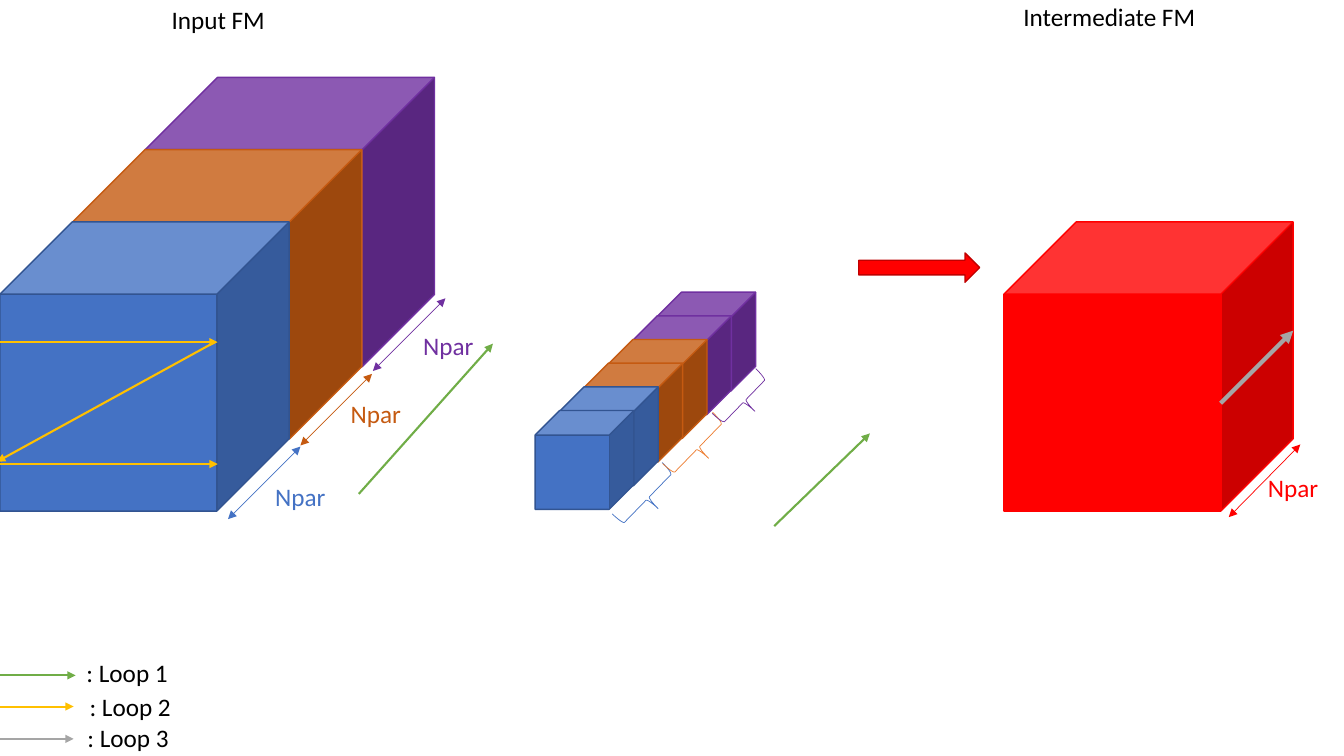
from dataclasses import dataclass

from lxml import etree
from pptx import Presentation
from pptx import util as u
from pptx.dml.color import RGBColor
from pptx.enum import shapes, text
from pptx.oxml.ns import qn


@dataclass(frozen=True)
class Theme:
    """Colours, font and type size of the slide."""
    blue: str = "4472C4"
    navy: str = "325491"
    rust: str = "C55A11"
    orange: str = "ED7D31"
    purple: str = "7030A0"
    red: str = "FF0000"
    brick: str = "C00000"
    green: str = "70AD47"
    gold: str = "FFC000"
    grey: str = "A5A5A5"
    black: str = "000000"
    font: str = "Calibri"
    size: float = 18


def put(target, **values):
    """Set each given attribute on the target."""
    for name, value in values.items():
        setattr(target, name, value)


def rgb(code):
    """Turn a hex code into a colour."""
    return RGBColor.from_string(code)


class Sketch:
    """Draws styled elements on one slide, measured in points."""

    def __init__(self, slide, theme):
        """Keep the slide and its theme."""
        self.slide = slide
        self.theme = theme

    def stroke(self, item, color, width):
        """Colour the outline of an item."""
        item.line.color.rgb = rgb(color)
        item.line.width = u.Pt(width)

    def shape(self, kind, box, fill, edge, width=1, turn=0):
        """Add a preset shape, unfilled when fill is None."""
        item = self.slide.shapes.add_shape(kind, *map(u.Pt, box))
        put(item, rotation=turn)
        item.shadow.inherit = False
        if fill:
            item.fill.solid()
            item.fill.fore_color.rgb = rgb(fill)
        else:
            item.fill.background()
        self.stroke(item, edge, width)

    def cube(self, left, top, side, fill, edge=None):
        """Add a cube of equal width and height."""
        self.shape(shapes.MSO_SHAPE.CUBE, (left, top, side, side), fill, edge or fill)

    def brace(self, left, top, high, color):
        """Add a brace turned along the depth axis."""
        box = (left, top, 20.9, high)
        self.shape(shapes.MSO_SHAPE.LEFT_BRACE, box, None, color, 0.5, 224.2)

    def arrow(self, ends, color, width=1.5, both=False):
        """Add a line with a triangle at its end or at both ends."""
        item = self.slide.shapes.add_connector(
            shapes.MSO_CONNECTOR.STRAIGHT, *map(u.Pt, ends))
        self.stroke(item, color, width)
        props = item.element.spPr
        for tag in ("a:headEnd", "a:tailEnd") if both else ("a:tailEnd",):
            etree.SubElement(props.find(qn("a:ln")), qn(tag), type="triangle")
        etree.SubElement(props, qn("a:effectLst"))

    def label(self, words, box, color=None, **layout):
        """Add a one-line label."""
        frame = self.slide.shapes.add_textbox(*map(u.Pt, box)).text_frame
        put(frame, word_wrap=True, auto_size=text.MSO_AUTO_SIZE.SHAPE_TO_FIT_TEXT)
        para = frame.paragraphs[0]
        put(para, **layout)
        run = para.add_run()
        run.text = words
        put(run.font, name=self.theme.font, size=u.Pt(self.theme.size))
        run.font.color.rgb = rgb(color or self.theme.black)

    def depth(self, ends, spot, wide, color):
        """Add a double arrow and its Npar label."""
        self.arrow(ends, color, 0.5, True)
        self.label("Npar", (*spot, wide, 29.5), color,
                   line_spacing=1.07, space_after=u.Pt(8))


def main():
    """Build the loop diagram."""
    deck = Presentation()
    put(deck, slide_width=u.Pt(960), slide_height=u.Pt(540))
    t = Theme()
    art = Sketch(deck.slides.add_slide(deck.slide_layouts[6]), t)
    bands = [(t.blue, t.navy), (t.rust, t.rust), (t.purple, t.purple)]

    for i in reversed(range(6)):
        art.cube(382.2 + 17.4 * i, 293.2 - 16.9 * i, 70.6, *bands[i // 2])
    for i in reversed(range(3)):
        art.cube(51.9 * i, 158.5 - 51.6 * i, 206.6, *bands[i])
    art.cube(717.1, 158.5, 206.6, t.red)

    for ends, spot, wide, color in (
        ((162.9, 370.8, 214.6, 319), (189.4, 338.4), 61.2, t.blue),
        ((214.6, 318.2, 265.7, 267.1), (243.4, 279.4), 51.8, t.rust),
        ((266.4, 265, 318.2, 213.1), (295.2, 231.1), 51.8, t.purple),
        ((928.8, 317.5, 877.7, 369.4), (898.6, 332.6), 53.3, t.red),
    ):
        art.depth(ends, spot, wide, color)

    for ends in ((0, 244.4, 155.5, 244.4), (153.4, 244.4, -2.2, 329.8),
                 (0, 331.5, 155.5, 331.5)):
        art.arrow(ends, t.gold)
    for ends in ((256.3, 352.8, 352.1, 245.5), (553, 375.8, 621.4, 309.6)):
        art.arrow(ends, t.green)
    art.arrow((871.9, 288, 923.8, 236.2), t.grey, 3)

    for brace in ((452.2, 330.5, 51.1, t.blue), (488.2, 294.5, 51.1, t.orange),
                  (521.3, 264.2, 44.6, t.purple)):
        art.brace(*brace)
    art.shape(shapes.MSO_SHAPE.RIGHT_ARROW, (613.4, 180.7, 86.4, 20.9), t.red, t.brick)

    for words, level, end, left, top, color in (
        (": Loop 1", 482.4, 54, 54.7, 465.8, t.green),
        (": Loop 2", 504.7, 52.6, 56.9, 490.3, t.gold),
        (": Loop 3", 527.8, 52.6, 55.4, 512.6, t.grey),
    ):
        art.arrow((0, level, end, level), color)
        art.label(words, (left, top, 96.5, 28.8))
    for words, left, top in (("Input FM", 0.7, -0.7), ("Intermediate FM", 637.2, -2.9)):
        art.label(words, (left, top, 310.3, 28.8), alignment=text.PP_ALIGN.CENTER)

    deck.save("out.pptx")


if __name__ == "__main__":
    main()
